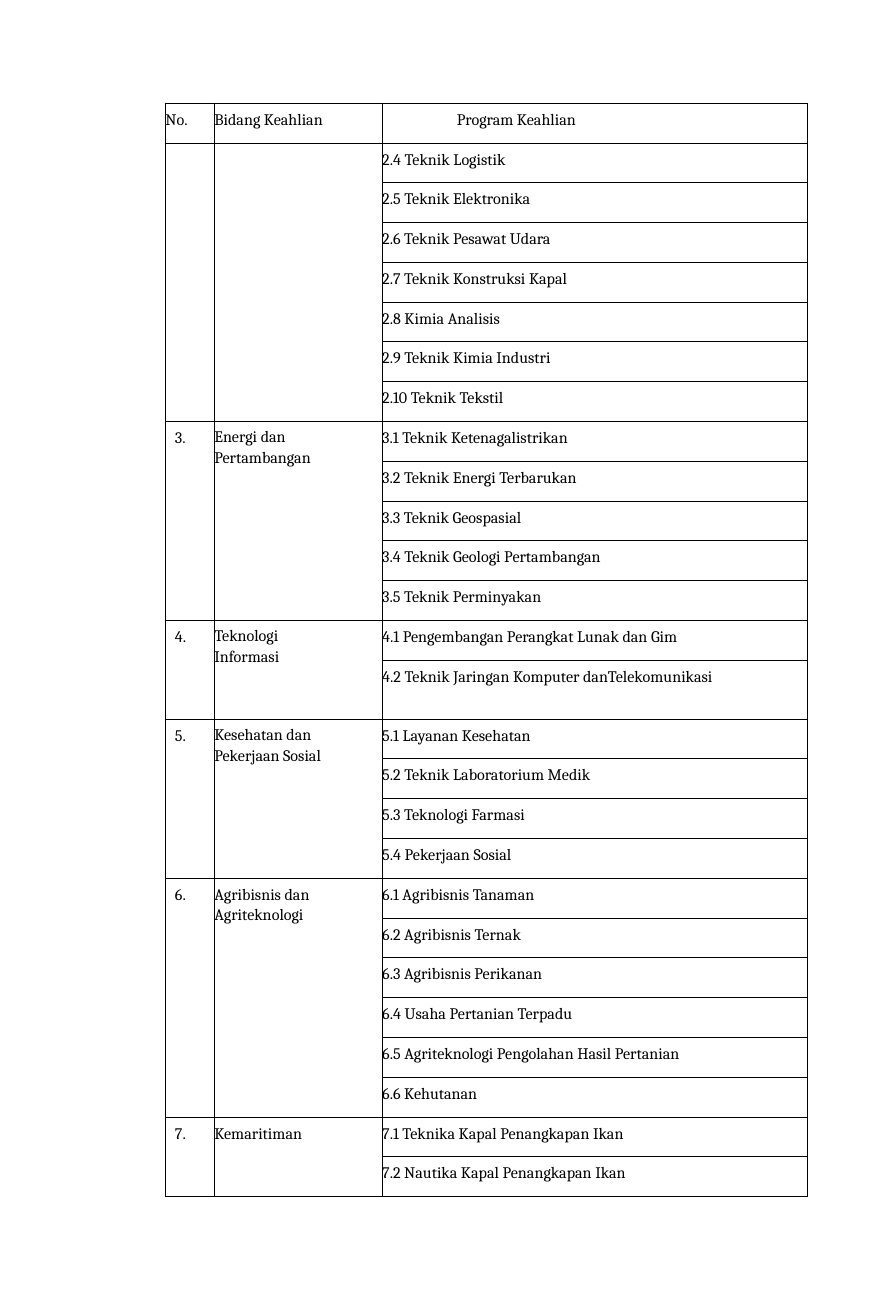
from dataclasses import dataclass
from lxml import etree
from pptx import Presentation
from pptx.dml.color import RGBColor
from pptx.oxml.ns import qn
from pptx.util import Cm, Pt


@dataclass(frozen=True)
class Theme:
    font: str = "Cambria"
    size: float = 11
    ink: str = "000000"
    rule: float = 0.75


theme = Theme()

# Fields: number, name, line spacing, top inset (cm), programs
fields = [
    ("", "", None, 0.18, [
        "2.4 Teknik Logistik", "2.5 Teknik Elektronika",
        "2.6 Teknik Pesawat Udara", "2.7 Teknik Konstruksi Kapal",
        "2.8 Kimia Analisis", "2.9 Teknik Kimia Industri",
        "2.10 Teknik Tekstil"]),
    ("3.", "Energi dan\vPertambangan", 1.14, 0.1, [
        "3.1 Teknik Ketenagalistrikan", "3.2 Teknik Energi Terbarukan",
        "3.3 Teknik Geospasial", "3.4 Teknik Geologi Pertambangan",
        "3.5 Teknik Perminyakan"]),
    ("4.", "Teknologi\vInformasi", 1.14, 0.1, [
        "4.1 Pengembangan Perangkat Lunak dan Gim",
        "4.2 Teknik Jaringan Komputer danTelekomunikasi"]),
    ("5.", "Kesehatan dan\vPekerjaan Sosial", 1.13, 0.1, [
        "5.1 Layanan Kesehatan", "5.2 Teknik Laboratorium Medik",
        "5.3 Teknologi Farmasi", "5.4 Pekerjaan Sosial"]),
    ("6.", "Agribisnis dan\vAgriteknologi", 1.11, 0.13, [
        "6.1 Agribisnis Tanaman", "6.2 Agribisnis Ternak",
        "6.3 Agribisnis Perikanan", "6.4 Usaha Pertanian Terpadu",
        "6.5 Agriteknologi Pengolahan Hasil Pertanian",
        "6.6 Kehutanan"]),
    ("7.", "Kemaritiman", None, 0.18, [
        "7.1 Teknika Kapal Penangkapan Ikan",
        "7.2 Nautika Kapal Penangkapan Ikan"]),
]
widths = [1.18, 4.05, 10.27]
height, tall = 0.96, 1.42
count = 1 + sum(len(field[-1]) for field in fields)


def write(cell, text, indent=0, spacing=None, top=0.18):
    cell.text = text
    cell.margin_top = Cm(top)
    para = cell.text_frame.paragraphs[0]
    para.font.name = theme.font
    para.font.size = Pt(theme.size)
    para.font.color.rgb = RGBColor.from_string(theme.ink)
    if spacing:
        para.line_spacing = spacing
    if indent:
        para._p.get_or_add_pPr().set("marL", str(Cm(indent)))


def frame(cell):
    props = cell._tc.get_or_add_tcPr()
    for side in ("a:lnL", "a:lnR", "a:lnT", "a:lnB"):
        line = etree.SubElement(props, qn(side), w=str(Pt(theme.rule)))
        fill = etree.SubElement(line, qn("a:solidFill"))
        etree.SubElement(fill, qn("a:srgbClr"), val=theme.ink)


deck = Presentation()
deck.slide_width, deck.slide_height = Cm(21.59), Cm(31.75)
slide = deck.slides.add_slide(deck.slide_layouts[6])

# Table grid
table = slide.shapes.add_table(
    count, len(widths), Cm(3.99), Cm(2.49),
    Cm(sum(widths)), Cm(height * count)).table
table.first_row = table.horz_banding = False
for column, width in zip(table.columns, widths):
    column.width = Cm(width)
for row in table.rows:
    row.height = Cm(height)
for cell in table.iter_cells():
    cell.margin_left = cell.margin_right = cell.margin_bottom = 0
    write(cell, "")
    frame(cell)
    cell.fill.background()

# Header
heads = [("No.", 0), ("Bidang Keahlian", 0), ("Program Keahlian", 1.8)]
for col, (text, indent) in enumerate(heads):
    write(table.cell(0, col), text, indent)

# Fields with their programs
start = 1
for number, name, spacing, top, programs in fields:
    end = start + len(programs) - 1
    for col in (0, 1):
        table.cell(start, col).merge(table.cell(end, col))
    write(table.cell(start, 0), number, 0.23)
    write(table.cell(start, 1), name, 0, spacing, top)
    for row, program in enumerate(programs, start):
        write(table.cell(row, 2), program)
        if program.startswith("4.2"):
            table.rows[row].height = Cm(tall)
    start = end + 1

deck.save("out.pptx")
